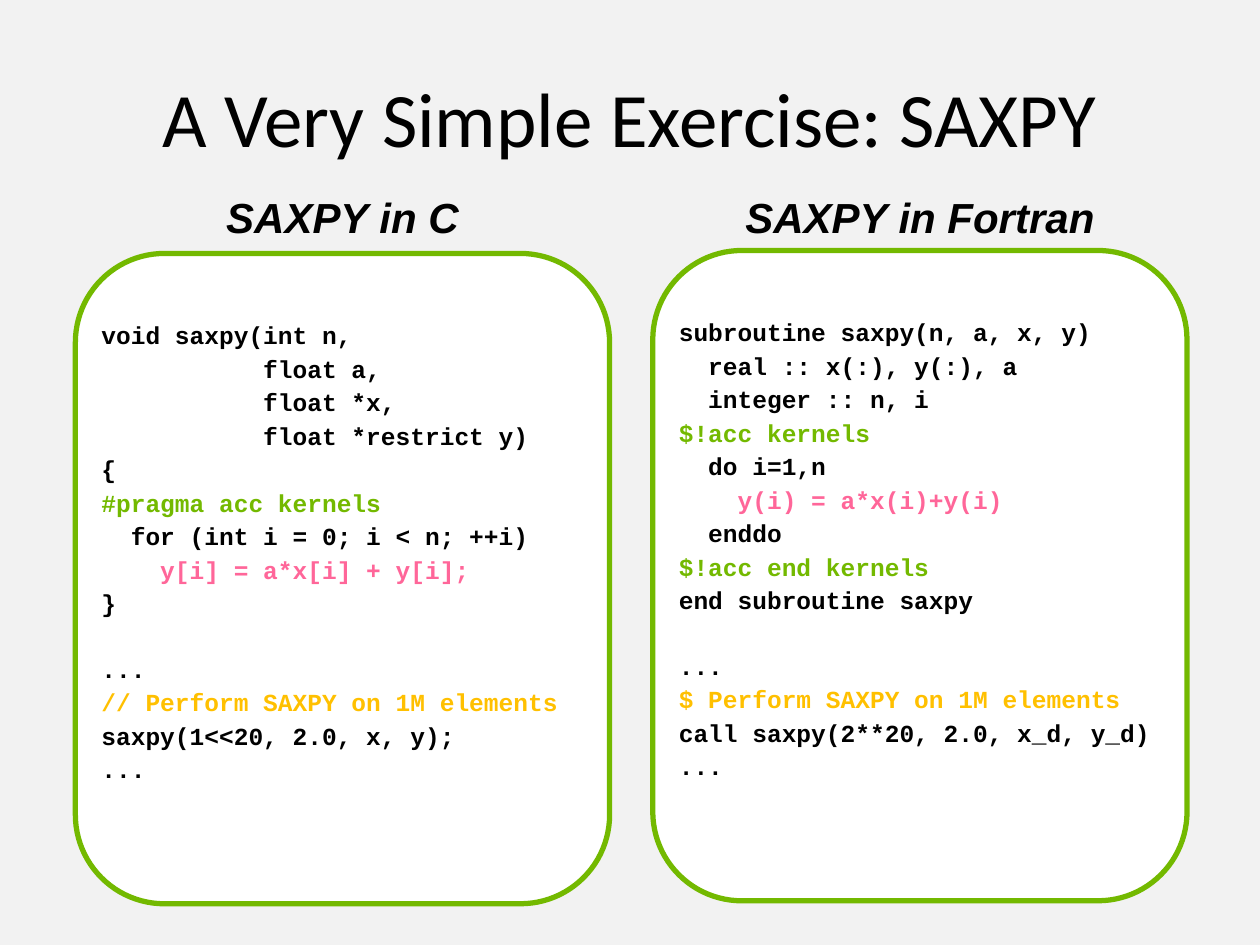
from pptx import Presentation
from pptx import util as u
from pptx.dml.color import RGBColor
from pptx.enum import shapes, text

BLACK = RGBColor(0x00, 0x00, 0x00)
WHITE = RGBColor(0xFF, 0xFF, 0xFF)
GREY = RGBColor(0xF2, 0xF2, 0xF2)
GREEN = RGBColor(0x73, 0xB9, 0x00)
PINK = RGBColor(0xFF, 0x66, 0x99)
AMBER = RGBColor(0xFF, 0xC0, 0x00)

TITLE = "A Very Simple Exercise: SAXPY"

# Each code block is a list of sections; a gap of one line separates them.
C_CODE = [
    [
        ("void saxpy(int n,", BLACK),
        ("           float a,", BLACK),
        ("           float *x,", BLACK),
        ("           float *restrict y)", BLACK),
        ("{", BLACK),
        ("#pragma acc kernels", GREEN),
        ("  for (int i = 0; i < n; ++i)", BLACK),
        ("    y[i] = a*x[i] + y[i];", PINK),
        ("}", BLACK),
    ],
    [
        ("...", BLACK),
        ("// Perform SAXPY on 1M elements", AMBER),
        ("saxpy(1<<20, 2.0, x, y);", BLACK),
        ("...", BLACK),
    ],
]
FORTRAN_CODE = [
    [
        ("subroutine saxpy(n, a, x, y)", BLACK),
        ("  real :: x(:), y(:), a", BLACK),
        ("  integer :: n, i", BLACK),
        ("$!acc kernels", GREEN),
        ("  do i=1,n", BLACK),
        ("    y(i) = a*x(i)+y(i)", PINK),
        ("  enddo", BLACK),
        ("$!acc end kernels", GREEN),
        ("end subroutine saxpy", BLACK),
    ],
    [
        ("...", BLACK),
        ("$ Perform SAXPY on 1M elements", AMBER),
        ("call saxpy(2**20, 2.0, x_d, y_d)", BLACK),
        ("...", BLACK),
    ],
]
# heading, heading width, panel left, panel top (cm), code
PANELS = [
    ("SAXPY in C", 6.17, 1.52, 5.11, C_CODE),
    ("SAXPY in Fortran", 7.7, 13.16, 5.05, FORTRAN_CODE),
]

PANEL_WIDTH, PANEL_HEIGHT = 10.77, 13.11
HEADING_TOP, HEADING_HEIGHT = 3.73, 1.27
LINE_GAP, SECTION_GAP = u.Pt(2.35), u.Pt(20.5)

TITLE_FONT = {"name": "Calibri", "size": u.Pt(44)}
HEADING_FONT = {"name": "Arial", "size": u.Pt(24), "bold": True, "italic": True}
CODE_FONT = {"name": "Courier New", "size": u.Pt(14), "bold": True}
CODE_FRAME = {
    "word_wrap": True,
    "vertical_anchor": text.MSO_ANCHOR.TOP,
    "margin_left": 0,
    "margin_right": 0,
    "margin_top": u.Cm(0.82),
    "margin_bottom": u.Cm(0.13),
}


def apply(target, values):
    for name, value in values.items():
        setattr(target, name, value)


def write(paragraph, words, font, colour=BLACK):
    run = paragraph.add_run()
    run.text = words
    apply(run.font, font)
    run.font.color.rgb = colour


def add_label(slide, words, box, font):
    frame = slide.shapes.add_textbox(*map(u.Cm, box)).text_frame
    apply(frame, {"word_wrap": True, "vertical_anchor": text.MSO_ANCHOR.MIDDLE})
    frame.paragraphs[0].alignment = text.PP_ALIGN.CENTER
    write(frame.paragraphs[0], words, font)


def add_code_panel(slide, left, top, code):
    panel = slide.shapes.add_shape(
        shapes.MSO_SHAPE.ROUNDED_RECTANGLE,
        *map(u.Cm, (left, top, PANEL_WIDTH, PANEL_HEIGHT)))
    panel.shadow.inherit = False
    panel.fill.solid()
    panel.fill.fore_color.rgb = WHITE
    panel.line.color.rgb = GREEN
    panel.line.width = u.Pt(3)
    frame = panel.text_frame
    apply(frame, CODE_FRAME)
    for s, section in enumerate(code):
        for n, (line, colour) in enumerate(section):
            first = s == n == 0
            paragraph = frame.paragraphs[0] if first else frame.add_paragraph()
            paragraph.alignment = text.PP_ALIGN.LEFT
            if not first:
                paragraph.space_before = LINE_GAP if n else SECTION_GAP
            write(paragraph, line, CODE_FONT, colour)


def main():
    deck = Presentation()
    apply(deck, {"slide_width": u.Cm(25.4), "slide_height": u.Cm(19.05)})
    slide = deck.slides.add_slide(deck.slide_layouts[6])
    slide.background.fill.solid()
    slide.background.fill.fore_color.rgb = GREY

    add_label(slide, TITLE, (1.27, 0.76, 22.86, 3.18), TITLE_FONT)
    for heading, width, left, top, code in PANELS:
        add_code_panel(slide, left, top, code)
        heading_left = left + (PANEL_WIDTH - width) / 2
        add_label(slide, heading,
                  (heading_left, HEADING_TOP, width, HEADING_HEIGHT), HEADING_FONT)
    deck.save("out.pptx")


if __name__ == "__main__":
    main()
